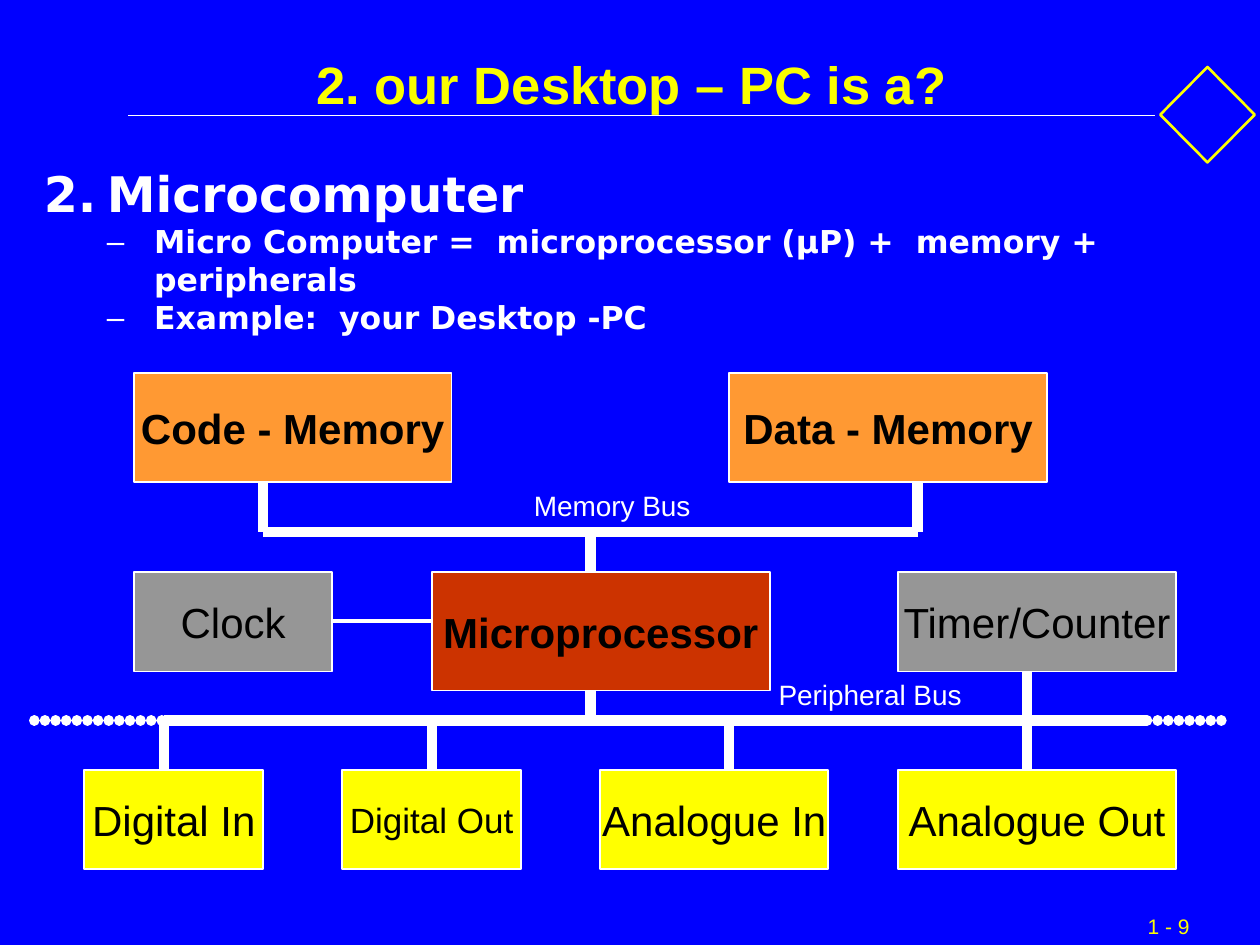
import dataclasses

import lxml.etree
import pptx
import pptx.dml.color
import pptx.enum.shapes
import pptx.enum.text
import pptx.oxml.ns
import pptx.util

Pt = pptx.util.Pt
Align = pptx.enum.text.PP_ALIGN
Anchor = pptx.enum.text.MSO_ANCHOR
AutoSize = pptx.enum.text.MSO_AUTO_SIZE
Shape = pptx.enum.shapes.MSO_SHAPE

WHITE = "FFFFFF"
YELLOW = "FFFF00"
ORANGE = "FF9933"
GREY = "969696"
ROW_MEMORY, ROW_PROCESSOR, ROW_PORTS = 213, 327, 440
MEMORY_BUS, PERIPHERAL_BUS = 304, 411.7
CENTRE = 337.5
BUS_LEFT, BUS_RIGHT = 93.6, 655.4


@dataclasses.dataclass
class Block:
    label: str
    left: float
    top: float
    width: float
    height: float
    fill: str
    size: float = 24
    bold: bool = False


@dataclasses.dataclass
class Wire:
    start: tuple[float, float]
    end: tuple[float, float]
    width: float = 6
    dotted: bool = False


BLOCKS = [
    Block("Microprocessor", 246.8, ROW_PROCESSOR, 193, 67.7, "CC3300", bold=True),
    Block("Code - Memory", 76.5, ROW_MEMORY, 181.5, 62.5, ORANGE, bold=True),
    Block("Data - Memory", 416.7, ROW_MEMORY, 181.5, 62.5, ORANGE, bold=True),
    Block("Clock", 76.5, ROW_PROCESSOR, 113.4, 56.7, GREY),
    Block("Timer/Counter", 513.2, ROW_PROCESSOR, 158.7, 56.7, GREY),
    Block("Digital In", 48.2, ROW_PORTS, 102.3, 56.7, YELLOW),
    Block("Digital Out", 195.6, ROW_PORTS, 102.3, 56.7, YELLOW, size=20),
    Block("Analogue In", 343, ROW_PORTS, 130.4, 56.7, YELLOW),
    Block("Analogue Out", 513.2, ROW_PORTS, 158.7, 56.7, YELLOW),
]
WIRES = [
    Wire((73.4, 66), (660, 66), width=1),
    *[Wire((x, 275.5), (x, MEMORY_BUS)) for x in (150.3, 524.4)],
    Wire((150.3, MEMORY_BUS), (524.4, MEMORY_BUS)),
    Wire((CENTRE, MEMORY_BUS), (CENTRE, ROW_PROCESSOR)),
    Wire((BUS_LEFT, PERIPHERAL_BUS), (BUS_RIGHT, PERIPHERAL_BUS)),
    *[Wire((x, PERIPHERAL_BUS), (x, ROW_PORTS)) for x in (BUS_LEFT, 246.8, 416.7)],
    Wire((586.8, 383.5), (586.8, ROW_PORTS)),
    Wire((CENTRE, 394.7), (CENTRE, PERIPHERAL_BUS)),
    Wire((190, 355), (246.8, 355), width=2.25),
    Wire((BUS_RIGHT, PERIPHERAL_BUS), (700.3, PERIPHERAL_BUS), dotted=True),
    Wire((19.6, PERIPHERAL_BUS), (BUS_LEFT, PERIPHERAL_BUS), dotted=True),
]


def colour(value: str) -> pptx.dml.color.RGBColor:
    return pptx.dml.color.RGBColor.from_string(value)


def add_element(parent, tag: str, **attributes: str):
    return lxml.etree.SubElement(parent, pptx.oxml.ns.qn(tag), **attributes)


def write(paragraph, text: str, *, size: float, color: str = WHITE, font: str = "Arial",
          bold: bool = False, align=Align.LEFT) -> None:
    paragraph.alignment = align
    run = paragraph.add_run()
    run.text = text
    run.font.name = font
    run.font.size = Pt(size)
    run.font.bold = bold
    run.font.color.rgb = colour(color)


def add_text_box(slide, left: float, top: float, width: float, height: float, wrap: bool = False):
    frame = slide.shapes.add_textbox(Pt(left), Pt(top), Pt(width), Pt(height)).text_frame
    frame.word_wrap = wrap
    frame.auto_size = AutoSize.NONE if wrap else AutoSize.SHAPE_TO_FIT_TEXT
    return frame


def add_block(slide, block: Block) -> None:
    shape = slide.shapes.add_shape(
        Shape.RECTANGLE, Pt(block.left), Pt(block.top), Pt(block.width), Pt(block.height))
    shape.shadow.inherit = False
    shape.fill.solid()
    shape.fill.fore_color.rgb = colour(block.fill)
    shape.line.color.rgb = colour(WHITE)
    shape.line.width = Pt(1)
    frame = shape.text_frame
    frame.word_wrap = False
    frame.vertical_anchor = Anchor.MIDDLE
    write(frame.paragraphs[0], block.label, size=block.size, color="000000",
          bold=block.bold, align=Align.CENTER)


def add_wire(slide, wire: Wire) -> None:
    connector = slide.shapes.add_connector(
        pptx.enum.shapes.MSO_CONNECTOR.STRAIGHT, *map(Pt, wire.start + wire.end))
    connector.line.color.rgb = colour(WHITE)
    connector.line.width = Pt(wire.width)
    if wire.dotted:
        line = connector.line._get_or_add_ln()
        line.set("cap", "rnd")
        add_element(add_element(line, "a:custDash"), "a:ds", d="100000", sp="1000")
        add_element(line, "a:round")
    add_element(connector._element.spPr, "a:effectLst")


def add_bullet(paragraph, left: float, hanging: float, font: str, tag: str,
               **attributes: str) -> None:
    properties = paragraph._p.get_or_add_pPr()
    properties.set("marL", str(Pt(left)))
    properties.set("indent", str(-Pt(hanging)))
    add_element(add_element(properties, "a:buClr"), "a:srgbClr", val=WHITE)
    add_element(properties, "a:buFont", typeface=font)
    add_element(properties, tag, **attributes)


def add_body(slide) -> None:
    frame = add_text_box(slide, 18, 90, 686, 393, wrap=True)
    heading = frame.paragraphs[0]
    add_bullet(heading, 36, 36, "DejaVu Sans", "a:buAutoNum", type="arabicPeriod", startAt="2")
    heading.line_spacing = Pt(33.5)
    write(heading, "Microcomputer", size=28, font="DejaVu Sans", bold=True)
    for text in ("Micro Computer =  microprocessor (µP) +  memory + peripherals",
                 "Example:  your Desktop -PC"):
        paragraph = frame.add_paragraph()
        paragraph.level = 1
        add_bullet(paragraph, 63, 27, "Arial", "a:buChar", char="–")
        paragraph.line_spacing = Pt(21.7)
        write(paragraph, text, size=18, font="DejaVu Sans", bold=True)


def add_title(slide) -> None:
    frame = add_text_box(slide, 18, 30, 686, 52.5, wrap=True)
    frame.margin_left = frame.margin_right = frame.margin_top = frame.margin_bottom = 0
    write(frame.paragraphs[0], "2. our Desktop – PC is a?", size=30, color="FAFD00",
          bold=True, align=Align.CENTER)


def add_bus_label(slide, text: str, left: float, top: float, width: float) -> None:
    frame = add_text_box(slide, left, top, width, 26.6)
    frame.margin_left = frame.margin_right = 0
    write(frame.paragraphs[0], text, size=16, align=Align.CENTER)


def add_emblem(slide) -> None:
    diamond = slide.shapes.add_shape(Shape.DIAMOND, Pt(663), Pt(38.3), Pt(54), Pt(54.5))
    diamond.shadow.inherit = False
    diamond.fill.background()
    diamond.line.color.rgb = colour(YELLOW)
    diamond.line.width = Pt(1.5)


def main() -> None:
    presentation = pptx.Presentation()
    presentation.slide_width = Pt(720)
    presentation.slide_height = Pt(540)
    slide = presentation.slides.add_slide(presentation.slide_layouts[6])
    slide.background.fill.solid()
    slide.background.fill.fore_color.rgb = colour("0000FF")
    add_emblem(slide)
    add_title(slide)
    add_body(slide)
    for block in BLOCKS:
        add_block(slide, block)
    for wire in WIRES:
        add_wire(slide, wire)
    add_bus_label(slide, "Memory Bus", 298, 275.5, 103.7)
    add_bus_label(slide, "Peripheral Bus", 437.8, 383.4, 118.8)
    page_number = add_text_box(slide, 648.7, 518.4, 86.4, 21.6)
    write(page_number.paragraphs[0], "1 - 9", size=12, color=YELLOW)
    presentation.save("out.pptx")


if __name__ == "__main__":
    main()
